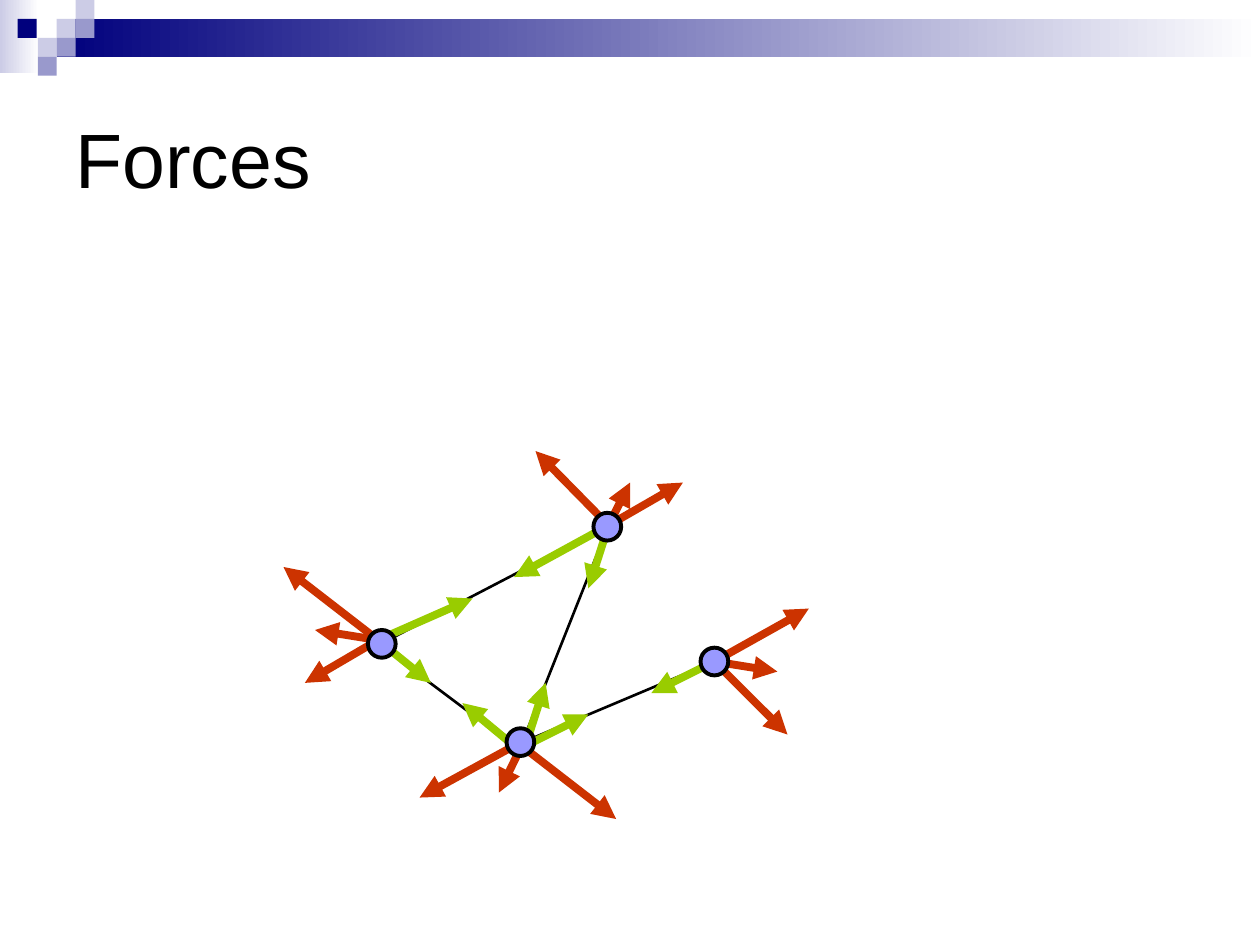
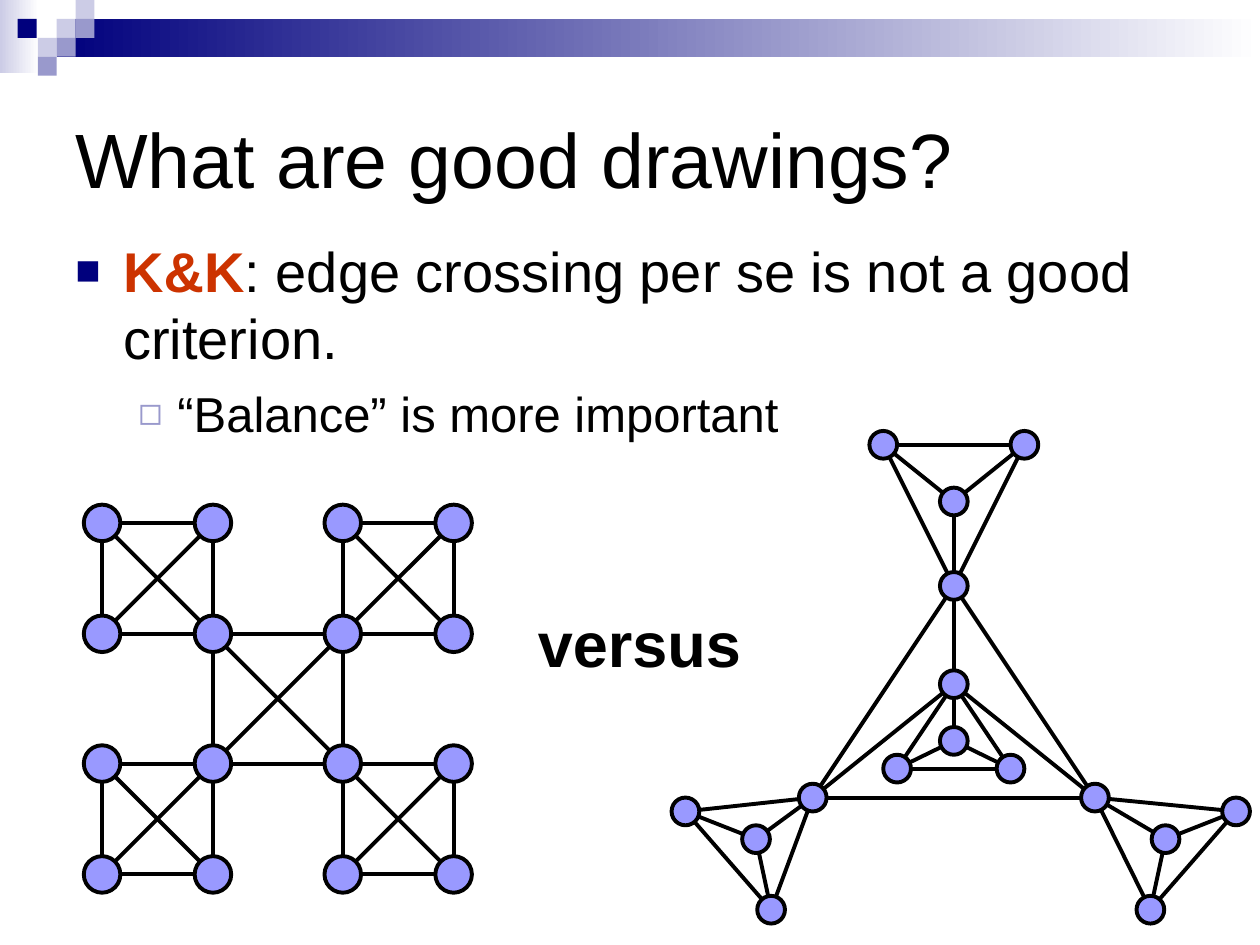
from itertools import combinations, product
from lxml.etree import SubElement
from pptx import Presentation
from pptx.dml.color import RGBColor
from pptx.enum.shapes import MSO_CONNECTOR, MSO_SHAPE
from pptx.enum.text import MSO_ANCHOR, MSO_AUTO_SIZE
from pptx.oxml.ns import qn
from pptx.util import Inches, Pt

BLACK = RGBColor(0x00, 0x00, 0x00)
WHITE = RGBColor(0xFF, 0xFF, 0xFF)
NAVY = RGBColor(0x00, 0x00, 0x7D)
LAVENDER = RGBColor(0x99, 0x99, 0xCC)
PALE = RGBColor(0xCC, 0xCC, 0xE6)
NODE = RGBColor(0x99, 0x99, 0xFF)
RED = RGBColor(0xCC, 0x33, 0x00)
GREEN = RGBColor(0x99, 0xCC, 0x00)


def draw_line(page, start, end, color=BLACK, width=2.25, arrow=False):
    line = page.shapes.add_connector(
        MSO_CONNECTOR.STRAIGHT, *[Inches(value) for value in (*start, *end)])
    line.line.color.rgb = color
    line.line.width = Pt(width)
    properties = line._element.spPr
    if arrow:
        SubElement(properties.find(qn("a:ln")), qn("a:tailEnd"), type="triangle")
    SubElement(properties, qn("a:effectLst"))


def draw_node(page, center, size):
    x, y = center
    node = page.shapes.add_shape(
        MSO_SHAPE.OVAL, Inches(x - size / 2), Inches(y - size / 2), Inches(size), Inches(size))
    node.shadow.inherit = False
    node.fill.solid()
    node.fill.fore_color.rgb = NODE
    node.line.color.rgb = BLACK
    node.line.width = Pt(2.25)


deck = Presentation()
deck.slide_width = Inches(10)
deck.slide_height = Inches(7.5)

bands = [
    (0, 0, 0.31, 0.58, PALE),
    (0.45, 0.15, 9.55, 0.3, NAVY),
]
squares = [
    (0.45, 0.15, PALE),
    (0.6, 0, PALE),
    (0.6, 0.15, LAVENDER),
    (0.3, 0.3, PALE),
    (0.14, 0.15, NAVY),
    (0.45, 0.3, LAVENDER),
    (0.3, 0.45, LAVENDER),
]
pages = []
for title in ("Forces", "What are good drawings?"):
    page = deck.slides.add_slide(deck.slide_layouts[6])
    pages.append(page)
    for left, top, width, height, color in bands:
        band = page.shapes.add_shape(
            MSO_SHAPE.RECTANGLE, Inches(left), Inches(top), Inches(width), Inches(height))
        band.shadow.inherit = False
        band.line.fill.background()
        band.fill.gradient()
        band.fill.gradient_angle = 0
        for stop, stop_color in zip(band.fill.gradient_stops, (color, WHITE)):
            stop.color.rgb = stop_color
    for left, top, color in squares:
        square = page.shapes.add_shape(
            MSO_SHAPE.RECTANGLE, Inches(left), Inches(top), Inches(0.15), Inches(0.15))
        square.shadow.inherit = False
        square.line.fill.background()
        square.fill.solid()
        square.fill.fore_color.rgb = color
    box = page.shapes.add_textbox(Inches(0.5), Inches(0.5), Inches(9), Inches(1.5))
    box.text_frame.word_wrap = True
    box.text_frame.vertical_anchor = MSO_ANCHOR.MIDDLE
    box.text_frame.text = title
    span = box.text_frame.paragraphs[0].runs[0]
    span.font.name = "Arial"
    span.font.size = Pt(44)
    span.font.color.rgb = BLACK

forces_page, drawings_page = pages

edges = [
    ((4.17, 5.83), (4.83, 4.17)),
    ((4.83, 4.17), (3.08, 5.08)),
    ((3.08, 5.17), (4.08, 5.92)),
    ((4.08, 5.92), (5.67, 5.25)),
]
for start, end in edges:
    draw_line(forces_page, start, end, width=1.5)

repulsions = [
    ((3, 5.08), [(2.25, 4.5), (2.42, 5.42), (2.5, 5)]),
    ((4.83, 4.17), [(5.42, 3.83), (5, 3.83), (4.25, 3.58)]),
    ((4.14, 5.92), [(4.89, 6.5), (3.96, 6.29)]),
    ((4.08, 5.92), [(3.33, 6.33)]),
    ((5.67, 5.25), [(6.42, 4.83), (6.17, 5.33), (6.25, 5.83)]),
]
attractions = [
    ((3, 5.08), [(3.75, 4.75), (3.42, 5.42)]),
    ((4.83, 4.17), [(4.08, 4.58), (4.67, 4.67)]),
    ((4.08, 5.92), [(3.67, 5.58)]),
    ((4.17, 5.92), [(4.33, 5.42), (4.67, 5.67)]),
    ((5.67, 5.25), [(5.17, 5.5)]),
]
for forces, color in ((repulsions, RED), (attractions, GREEN)):
    for start, tips in forces:
        for tip in tips:
            draw_line(forces_page, start, tip, color, 4.5, arrow=True)

for center in ((4.13, 5.89), (5.67, 5.25), (4.82, 4.18), (3.03, 5.11)):
    draw_node(forces_page, center, 0.22)

box = drawings_page.shapes.add_textbox(Inches(0.5), Inches(1.83), Inches(9), Inches(4.58))
box.text_frame.word_wrap = True
bullets = [
    ([("K&K", RED, True), (": edge crossing per se is not a good criterion.", BLACK, False)],
     32, 8, 0.38, -0.38, "■", NAVY, 75),
    ([("“Balance” is more important", BLACK, False)],
     28, 7, 0.81, -0.31, "◻", LAVENDER, 80),
]
for level, (spans, size, space, margin, indent, mark, mark_color, mark_size) in enumerate(bullets):
    para = box.text_frame.add_paragraph() if level else box.text_frame.paragraphs[0]
    para.level = level
    para.space_before = Pt(space)
    for text, color, bold in spans:
        span = para.add_run()
        span.text = text
        span.font.name = "Arial"
        span.font.size = Pt(size)
        span.font.bold = bold
        span.font.color.rgb = color
    properties = para._p.get_or_add_pPr()
    properties.set("marL", str(Inches(margin)))
    properties.set("indent", str(Inches(indent)))
    bullet_color = SubElement(properties, qn("a:buClr"))
    SubElement(bullet_color, qn("a:srgbClr"), val=str(mark_color))
    SubElement(properties, qn("a:buSzPct"), val=str(mark_size * 1000))
    SubElement(properties, qn("a:buFont"), typeface="Arial")
    SubElement(properties, qn("a:buChar"), char=mark)

columns = [0.81, 1.69, 2.72, 3.6]
rows = [4.15, 5.03, 6.06, 6.94]
grid_cliques = [
    list(product(columns[column:column + 2], rows[row:row + 2]))
    for column, row in ((0, 0), (2, 0), (1, 1), (0, 2), (2, 2))
]

apex, left_corner, right_corner = (7.57, 4.65), (6.45, 6.33), (8.69, 6.33)
inner_apex = (7.57, 5.43)
planar_cliques = [
    [apex, (7.57, 3.98), (7.01, 3.53), (8.13, 3.53)],
    [apex, left_corner, right_corner, inner_apex],
    [inner_apex, (7.12, 6.1), (8.02, 6.1), (7.57, 5.88)],
    [left_corner, (6.12, 7.22), (5.44, 6.44), (6, 6.66)],
    [right_corner, (9.81, 6.44), (9.13, 7.22), (9.25, 6.66)],
]

for cliques, node_size in ((grid_cliques, 0.29), (planar_cliques, 0.22)):
    for clique in cliques:
        for start, end in combinations(clique, 2):
            draw_line(drawings_page, start, end)
    for center in sorted(set(sum(cliques, []))):
        draw_node(drawings_page, center, node_size)

box = drawings_page.shapes.add_textbox(Inches(4.17), Inches(4.75), Inches(2.33), Inches(0.7))
box.text_frame.word_wrap = True
box.text_frame.auto_size = MSO_AUTO_SIZE.SHAPE_TO_FIT_TEXT
box.text_frame.text = "versus"
para = box.text_frame.paragraphs[0]
para.space_before = Pt(22.5)
span = para.runs[0]
span.font.name = "Arial"
span.font.size = Pt(36)
span.font.bold = True
span.font.color.rgb = BLACK

deck.save("out.pptx")
